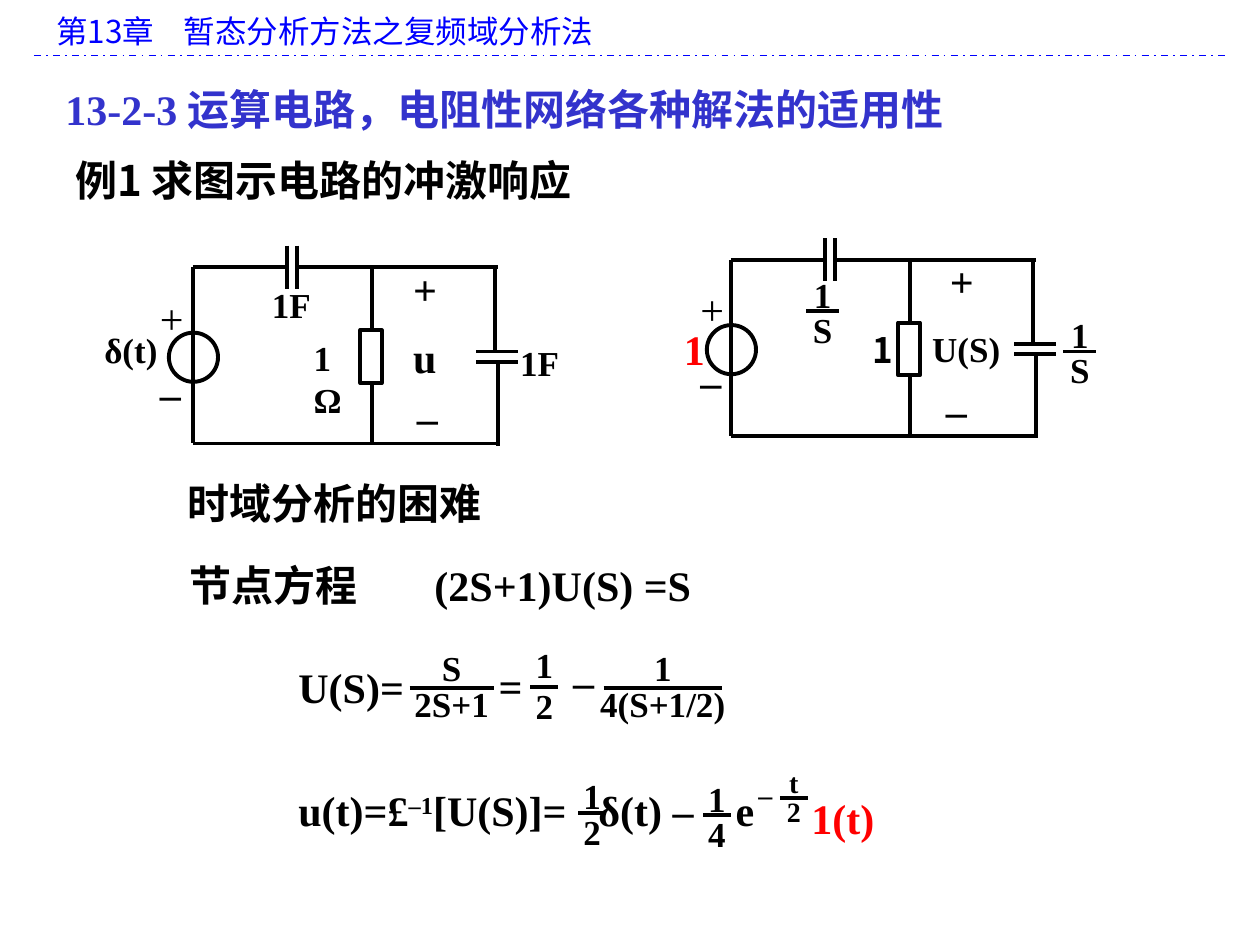
"""Build the slide on the impulse response of a circuit in the complex frequency domain."""
from pptx import Presentation
from pptx.dml.color import RGBColor
from pptx.enum import dml, shapes, text
from pptx.oxml import ns
from pptx.util import Inches, Pt
from lxml import etree

BLACK = RGBColor(0, 0, 0)
BLUE = RGBColor(0, 0, 255)
INDIGO = RGBColor(0x33, 0x33, 0xCC)
RED = RGBColor(255, 0, 0)
SERIF = "Times New Roman"
CJK = "Noto Sans CJK SC"
LEFT, CENTER = text.PP_ALIGN.LEFT, text.PP_ALIGN.CENTER


def add_run(paragraph, words, size=24, font=SERIF, color=BLACK, bold=True, raised=0):
    run = paragraph.add_run()
    run.text = words
    run.font.size = Pt(size)
    run.font.name = font
    run.font.bold = bold
    run.font.color.rgb = color
    properties = run.font._element
    if font == CJK:
        etree.SubElement(properties, ns.qn("a:ea"), typeface=font)
    if raised:
        properties.set("baseline", str(raised * 1000))


def add_text(slide, left, top, width, height, runs, align=LEFT, tabs=()):
    box = slide.shapes.add_textbox(Inches(left), Inches(top), Inches(width), Inches(height))
    box.text_frame.word_wrap = True
    paragraph = box.text_frame.paragraphs[0]
    paragraph.alignment = align
    if tabs:
        tab_list = etree.SubElement(paragraph._p.get_or_add_pPr(), ns.qn("a:tabLst"))
        for position in tabs:
            etree.SubElement(tab_list, ns.qn("a:tab"), pos=str(Inches(position)), algn="l")
    for words, style in runs:
        add_run(paragraph, words, **style)


def add_label(slide, left, top, words, size=24, width=0.64, align=LEFT, **style):
    height = round(size / 60 + 0.1, 2)
    add_text(slide, left, top, width, height, [(words, dict(style, size=size))], align)


def add_line(slide, x1, y1, x2, y2, color=BLACK, width=2.25, dash=None):
    line = slide.shapes.add_connector(
        shapes.MSO_CONNECTOR.STRAIGHT, Inches(x1), Inches(y1), Inches(x2), Inches(y2))
    line.line.color.rgb = color
    line.line.width = Pt(width)
    if dash:
        line.line.dash_style = dash
    etree.SubElement(line._element.spPr, ns.qn("a:effectLst"))


def add_outline(slide, kind, left, top, width, height):
    shape = slide.shapes.add_shape(
        kind, Inches(left), Inches(top), Inches(width), Inches(height))
    shape.shadow.inherit = False
    shape.fill.background()
    shape.line.color.rgb = BLACK
    shape.line.width = Pt(2.25)


def add_fraction(slide, left, bar, width, top, bottom, size=20, rise=0.35, drop=0.07):
    margin = 0.3
    for words, offset in ((top, rise), (bottom, drop)):
        add_label(slide, left - margin, bar - offset, words, size, width + 2 * margin, CENTER)
    add_line(slide, left, bar, left + width, bar)


def add_circuit(slide, x, y):
    """Draw source, resistor, two capacitors and wires from the top left corner."""
    wires = [
        (0, 0, 0.75, 0), (0.83, 0, 2.42, 0), (0, 1.4, 2.42, 1.4),
        (0, 0, 0, 1.4), (1.42, 0, 1.42, 0.5), (1.42, 0.92, 1.42, 1.4),
        (2.4, 0, 2.4, 0.67), (2.42, 0.75, 2.42, 1.42),
    ]
    plates = [(0.75, -0.17, 0.75, 0.17), (0.83, -0.17, 0.83, 0.17),
              (2.25, 0.67, 2.58, 0.67), (2.25, 0.75, 2.58, 0.75)]
    for x1, y1, x2, y2 in wires + plates:
        add_line(slide, x + x1, y + y1, x + x2, y + y2)
    add_outline(slide, shapes.MSO_SHAPE.OVAL, x - 0.19, y + 0.52, 0.39, 0.39)
    add_outline(slide, shapes.MSO_SHAPE.RECTANGLE, x + 1.33, y + 0.5, 0.17, 0.42)


def add_headings(slide):
    add_text(slide, 0.35, 0.05, 9.37, 0.4,
             [("第13章\t暂态分析方法之复频域分析法",
               dict(size=18, font=CJK, color=BLUE, bold=False))], tabs=[1.01])
    add_line(slide, 0.27, 0.44, 9.72, 0.44, BLUE, 1, dml.MSO_LINE.DASH_DOT)
    add_text(slide, 0.42, 0.61, 8.35, 0.5,
             [("13-2-3 ", dict(color=INDIGO)),
              ("运算电路，电阻性网络各种解法的适用性", dict(font=CJK, color=INDIGO))])
    add_label(slide, 0.5, 1.18, "例1 求图示电路的冲激响应", width=6.18, font=CJK)
    add_label(slide, 1.39, 3.74, "时域分析的困难", width=3.17, font=CJK)


def add_time_circuit(slide):
    add_circuit(slide, 1.53, 2.12)
    add_label(slide, 0.73, 2.56, "δ(t)", 20)
    add_label(slide, 2.39, 2.62, "1Ω", 20, width=0.5)
    add_label(slide, 2.06, 2.2, "1F", 20)
    add_label(slide, 4.03, 2.66, "1F", 20)
    add_label(slide, 3.18, 2.58, "u")
    add_label(slide, 3.18, 2.04, "+")
    add_label(slide, 3.21, 3.06, "–")
    add_label(slide, 1.17, 2.87, "–")
    add_label(slide, 1.17, 2.27, "+", bold=False)


def add_operational_circuit(slide):
    add_circuit(slide, 5.8, 2.06)
    add_label(slide, 5.33, 2.52, "1", color=RED)
    add_label(slide, 6.83, 2.56, "1", 20, font=CJK)
    add_label(slide, 7.3, 2.55, "U(S)", 20, width=1.18)
    add_label(slide, 7.44, 1.98, "+")
    add_label(slide, 7.41, 3, "–")
    add_label(slide, 5.46, 2.77, "–")
    add_label(slide, 5.46, 2.2, "+", bold=False)
    add_fraction(slide, 6.4, 2.47, 0.26, "1", "S")
    add_fraction(slide, 8.44, 2.79, 0.26, "1", "S")


def add_equations(slide):
    add_text(slide, 1.41, 4.39, 5.27, 0.5,
             [("节点方程", dict(font=CJK)), ("\t(2S+1)U(S) =S", {})], tabs=[1.94])

    add_label(slide, 2.27, 5.2, "U(S)=", width=1.17)
    add_fraction(slide, 3.25, 5.46, 0.67, "S", "2S+1", rise=0.38, drop=0.09)
    add_label(slide, 3.86, 5.19, "=")
    add_fraction(slide, 4.21, 5.45, 0.22, "1", "2", rise=0.39)
    add_label(slide, 4.45, 5.15, "–")
    add_fraction(slide, 4.79, 5.46, 0.94, "1", "4(S+1/2)", rise=0.38, drop=0.09)

    add_text(slide, 2.27, 6.18, 5.52, 0.5,
             [("u(t)=£", {}), ("–1", dict(raised=30)), ("[U(S)]=\tδ(t) –\te", {})],
             tabs=[2.38, 3.47])
    add_fraction(slide, 4.59, 6.45, 0.22, "1", "2")
    add_fraction(slide, 5.58, 6.47, 0.22, "1", "4")
    add_label(slide, 5.92, 6.12, "–", 16)
    add_fraction(slide, 6.19, 6.33, 0.22, "t", "2", 16, rise=0.3)
    add_label(slide, 6.34, 6.24, "1(t)", width=0.85, color=RED)


def main():
    presentation = Presentation()
    presentation.slide_width = Inches(10)
    presentation.slide_height = Inches(7.5)
    slide = presentation.slides.add_slide(presentation.slide_layouts[6])
    add_headings(slide)
    add_time_circuit(slide)
    add_operational_circuit(slide)
    add_equations(slide)
    presentation.save("out.pptx")


if __name__ == "__main__":
    main()
